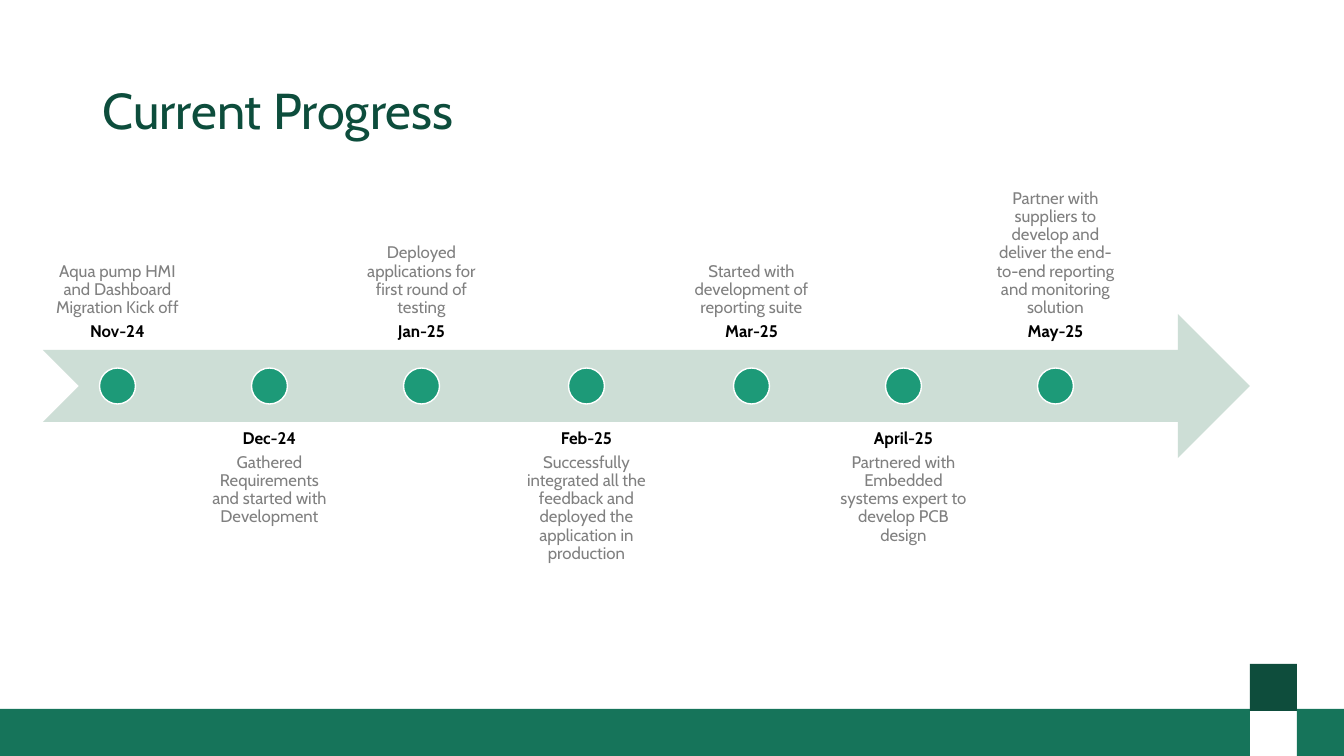
from pptx import Presentation
from pptx import util as u
from pptx.dml.color import RGBColor
from pptx.enum import shapes, text

TITLE = "Current Progress"
MILESTONES = [
    ("Nov-24", "Aqua pump HMI and Dashboard Migration Kick off", 145),
    ("Dec-24", "Gathered Requirements and started with Development", 145),
    ("Jan-25", "Deployed applications for first round of testing", 145),
    ("Feb-25", "Successfully integrated all the feedback and deployed the application in production", 171),
    ("Mar-25", "Started with development of reporting suite", 145),
    ("April-25", "Partnered with Embedded systems expert to develop PCB design", 145),
    ("May-25", "Partner with suppliers to develop and deliver the end-to-end reporting and monitoring solution", 145),
]
FOOTER = [
    (0, 709, 1250, 47, "16745A"),
    (1297, 709, 47, 47, "16745A"),
    (1250, 664, 47, 47, "0E4D3C"),
]
FONT = "Cabin"
FIRST_LEFT, GAP = 45, 7
ABOVE_TOP, BELOW_TOP, LABEL_HEIGHT, INSET = 206, 421, 144, 9
ARROW = (43, 314, 1207, 144)
DOT = 36


def px(n):
    return round(n * 914400 / 100.8)


def color(hex_code):
    return RGBColor.from_string(hex_code)


deck = Presentation()
deck.slide_width, deck.slide_height = px(1344), px(756)
slide = deck.slides.add_slide(deck.slide_layouts[6])


def add_solid(kind, left, top, width, height, fill, outline=None):
    solid = slide.shapes.add_shape(kind, px(left), px(top), px(width), px(height))
    solid.shadow.inherit = False
    solid.fill.solid()
    solid.fill.fore_color.rgb = color(fill)
    if outline:
        solid.line.color.rgb = color(outline)
        solid.line.width = u.Pt(1)
    else:
        solid.line.fill.background()


def add_words(left, top, width, height, anchor, align, inset, lines):
    frame = slide.shapes.add_textbox(px(left), px(top), px(width), px(height)).text_frame
    frame.word_wrap = True
    frame.vertical_anchor = anchor
    frame.margin_left = frame.margin_right = px(inset)
    frame.margin_top = frame.margin_bottom = px(inset)
    for i, (words, size, hex_code, bold) in enumerate(lines):
        line = frame.add_paragraph() if i else frame.paragraphs[0]
        line.alignment = align
        line.line_spacing = 0.9
        line.space_after = u.Pt(size * 0.35)
        run = line.add_run()
        run.text = words
        run.font.name = FONT
        run.font.size = u.Pt(size)
        run.font.bold = bold
        run.font.color.rgb = color(hex_code)


for left, top, width, height, fill in FOOTER:
    add_solid(shapes.MSO_SHAPE.RECTANGLE, left, top, width, height, fill)

add_words(93, 40, 1159, 146, text.MSO_ANCHOR.MIDDLE, text.PP_ALIGN.LEFT, 10,
          [(TITLE, 36, "0D4D3C", False)])

add_solid(shapes.MSO_SHAPE.NOTCHED_RIGHT_ARROW, *ARROW, "CDDED6")

dot_top = ARROW[1] + (ARROW[3] - DOT) / 2
left = FIRST_LEFT
for i, (month, progress, width) in enumerate(MILESTONES):
    label = [(month, 12, "000000", True), (progress, 12, "808080", False)]
    if i % 2:
        top, anchor = BELOW_TOP, text.MSO_ANCHOR.TOP
    else:
        top, anchor = ABOVE_TOP, text.MSO_ANCHOR.BOTTOM
        label.reverse()
    add_words(left, top, width, LABEL_HEIGHT, anchor, text.PP_ALIGN.CENTER, INSET, label)
    add_solid(shapes.MSO_SHAPE.OVAL, left + (width - DOT) / 2, dot_top, DOT, DOT, "1D9A78", "FFFFFF")
    left += width + GAP

deck.save("out.pptx")
